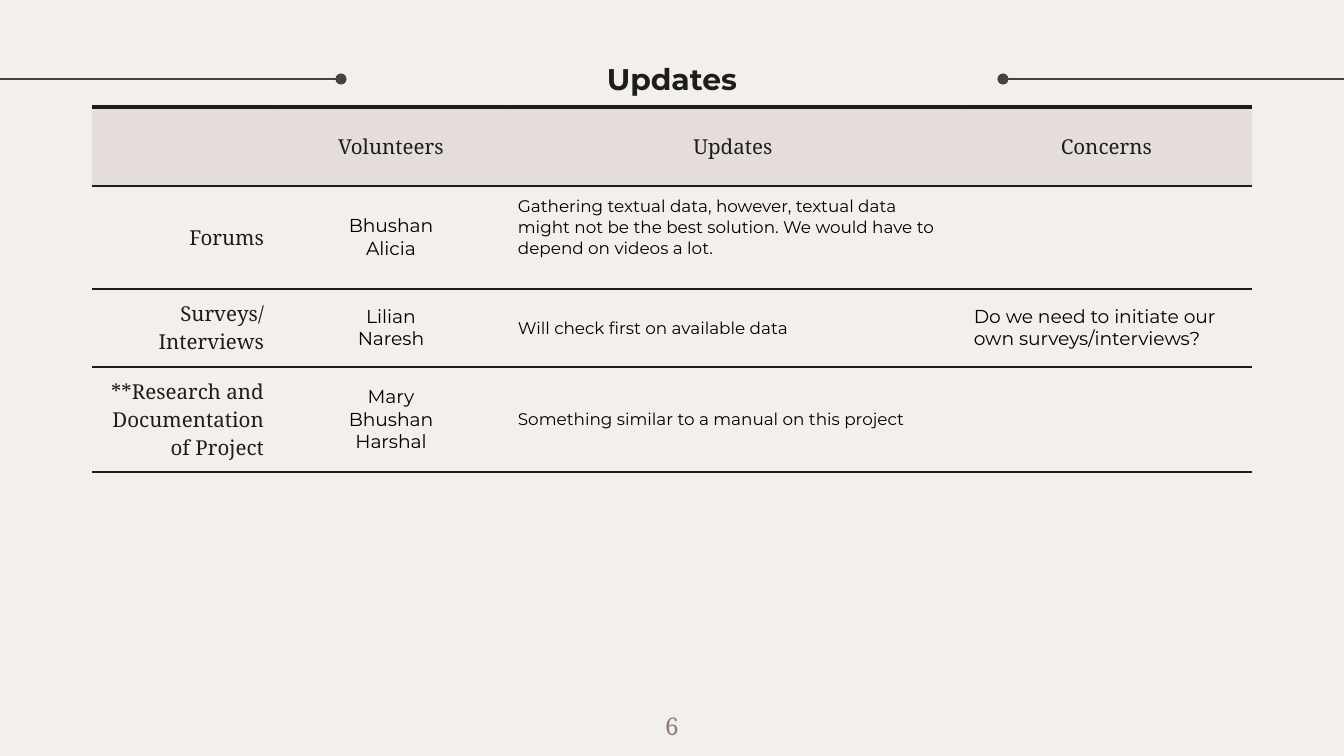
from lxml.etree import SubElement
from pptx import Presentation
from pptx.dml.color import RGBColor
from pptx.enum.shapes import MSO_CONNECTOR
from pptx.enum.text import MSO_ANCHOR, PP_ALIGN
from pptx.oxml import parse_xml
from pptx.oxml.ns import nsdecls, qn
from pptx.util import Pt

# Content
TITLE, PAGE = "Updates", "6"
HEADER = ["", "Volunteers", "Updates", "Concerns"]
ROWS = [
    ["Forums", "Bhushan\nAlicia",
     "Gathering textual data, however, textual data might not be the best "
     "solution. We would have to depend on videos a lot.", ""],
    ["Surveys/ Interviews", "Lilian\nNaresh", "Will check first on available data",
     "Do we need to initiate our own surveys/interviews?"],
    ["**Research and Documentation of Project", "Mary\nBhushan\nHarshal",
     "Something similar to a manual on this project", ""],
]

# Layout in pixels, colours and type
SLIDE_W, SLIDE_H = 1344, 756
TABLE_LEFT, TABLE_TOP = 92, 107
COLS = [185, 228, 456, 291]
HEIGHTS = [79, 103, 78, 105]
RULES = [(341, 0), (1003, SLIDE_W)]
RULE_Y = 79
INK, BLACK, GREY, MAUVE, PAPER = "1D1D1B", "000000", "434343", "8F7B87", "F3EFEA"
SANS, SERIF = "Montserrat", "Noto Serif"
LEFT, CENTER, RIGHT = PP_ALIGN.LEFT, PP_ALIGN.CENTER, PP_ALIGN.RIGHT
HEAD_STYLE = (CENTER, 11, SERIF, INK)
BODY_STYLES = [(RIGHT, 11, SERIF, INK), (CENTER, 10, SANS, BLACK),
               (LEFT, 9, SANS, BLACK), (LEFT, 10, SANS, BLACK)]


def px(n):
    return round(n * 914400 / 134.4)


def rgb(value):
    return RGBColor.from_string(value)


def write(tf, text, align, size, font, color, bold=False):
    for i, line in enumerate(text.split("\n")):
        p = tf.add_paragraph() if i else tf.paragraphs[0]
        p.alignment = align
        p.font.size, p.font.name, p.font.bold = Pt(size), font, bold
        p.font.color.rgb = rgb(color)
        p.add_run().text = line


def add_text(box, text, anchor, *style, **options):
    tf = s.shapes.add_textbox(*map(px, box)).text_frame
    tf.word_wrap = True
    tf.vertical_anchor = anchor
    tf.margin_left = tf.margin_right = tf.margin_top = tf.margin_bottom = px(13)
    write(tf, text, *style, **options)


def set_borders(cell, top, bottom):
    """Horizontal rules only; widths in points."""
    tc_pr = cell._tc.get_or_add_tcPr()
    for i, (side, width) in enumerate([("L", 0), ("R", 0), ("T", top), ("B", bottom)]):
        fill = (f'<a:solidFill><a:srgbClr val="{INK}"/></a:solidFill>'
                if width else "<a:noFill/>")
        tc_pr.insert(i, parse_xml(
            f'<a:ln{side} {nsdecls("a")} w="{Pt(width)}">{fill}</a:ln{side}>'))


prs = Presentation()
prs.slide_width, prs.slide_height = px(SLIDE_W), px(SLIDE_H)
s = prs.slides.add_slide(prs.slide_layouts[6])
s.background.fill.solid()
s.background.fill.fore_color.rgb = rgb(PAPER)

# Rules beside the title, dotted at the inner end
for inner, outer in RULES:
    rule = s.shapes.add_connector(MSO_CONNECTOR.STRAIGHT, px(inner), px(RULE_Y),
                                  px(outer), px(RULE_Y))
    rule.line.color.rgb = rgb(GREY)
    rule.line.width = Pt(0.75)
    SubElement(rule.line._get_or_add_ln(), qn("a:headEnd"), type="oval")
    SubElement(rule._element.spPr, qn("a:effectLst"))

# Title
add_text((341, 16, 662, 126), TITLE, MSO_ANCHOR.MIDDLE, CENTER, 16, SANS, INK, bold=True)

# Table
table = s.shapes.add_table(len(HEIGHTS), len(COLS), px(TABLE_LEFT), px(TABLE_TOP),
                           px(sum(COLS)), px(sum(HEIGHTS))).table
table.first_row = table.horz_banding = False
for column, width in zip(table.columns, COLS):
    column.width = px(width)
for r, (row, height) in enumerate(zip([HEADER] + ROWS, HEIGHTS)):
    table.rows[r].height = px(height)
    for c, text in enumerate(row):
        cell = table.cell(r, c)
        cell.vertical_anchor = MSO_ANCHOR.MIDDLE
        cell.margin_left = cell.margin_right = px(13)
        cell.margin_top = cell.margin_bottom = px(9)
        if text:
            write(cell.text_frame, text, *(BODY_STYLES[c] if r else HEAD_STYLE))
        if r:
            cell.fill.background()
        else:
            cell.fill.solid()
            cell.fill.fore_color.rgb = rgb(MAUVE)
            tint = cell._tc.tcPr.find(".//" + qn("a:srgbClr"))
            SubElement(tint, qn("a:alpha"), val="15000")
        set_borders(cell, 0.75 if r else 2.25, 0.75)
table.cell(1, 2).margin_bottom = px(29)  # lifts the long note above centre

# Page number
add_text((632, 698, 80, 58), PAGE, MSO_ANCHOR.TOP, CENTER, 13, SERIF, MAUVE)

prs.save("out.pptx")
